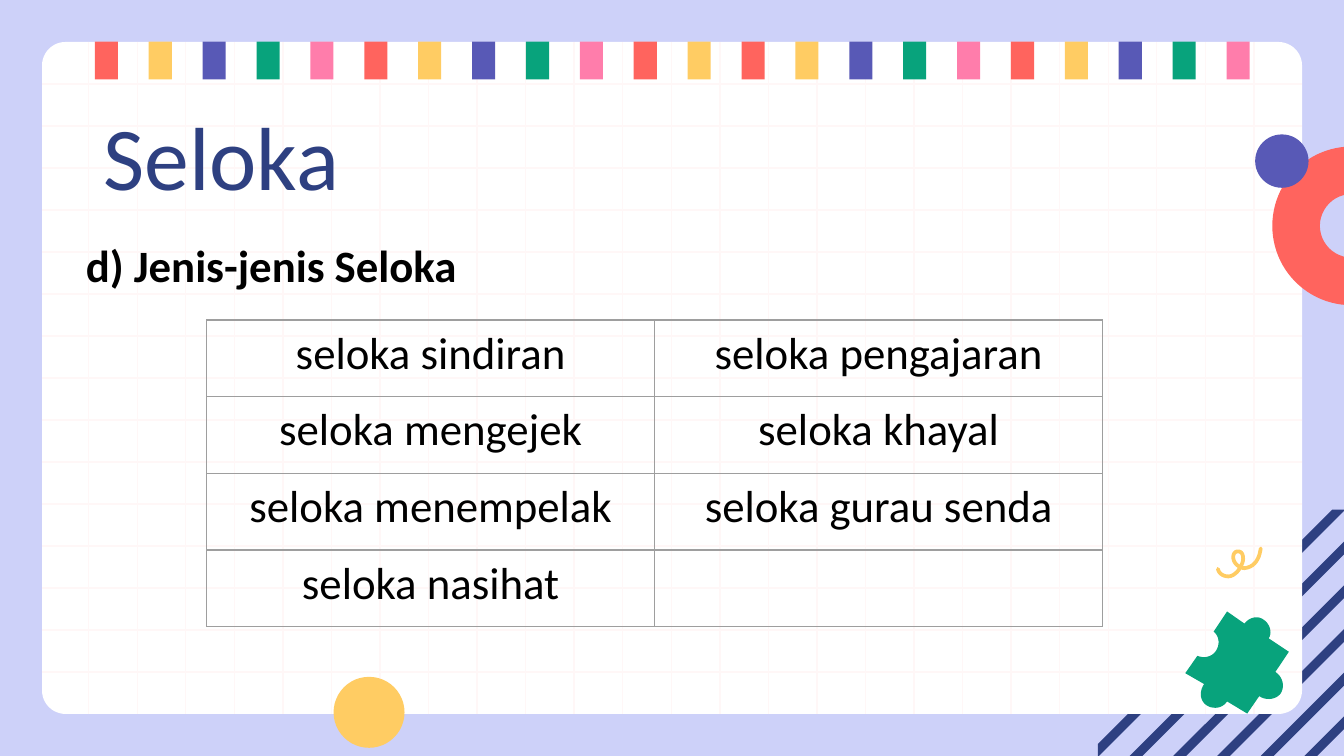
"""Build the slide on kinds of seloka."""
from lxml import etree
from pptx import Presentation
from pptx.dml.color import RGBColor
from pptx.enum.shapes import MSO_CONNECTOR, MSO_SHAPE
from pptx.enum.text import MSO_ANCHOR, PP_ALIGN
from pptx.oxml.ns import qn
from pptx.util import Pt

RECT, ROUND = MSO_SHAPE.RECTANGLE, MSO_SHAPE.ROUNDED_RECTANGLE
OVAL, ARC = MSO_SHAPE.OVAL, MSO_SHAPE.BLOCK_ARC
LINE = MSO_CONNECTOR.STRAIGHT
TOP, MID = MSO_ANCHOR.TOP, PP_ALIGN.CENTER

NAVY, WHITE, GRID = "2E4081", "FFFFFF", "FFF7F7"
RED, GOLD, BLUE, GREEN, PINK = "FF645E", "FFCC63", "5859B6", "08A37C", "FF7DAB"
CYCLE = [RED, GOLD, BLUE, GREEN, PINK]
KINDS = [
    ("seloka sindiran", "seloka pengajaran"),
    ("seloka mengejek", "seloka khayal"),
    ("seloka menempelak", "seloka gurau senda"),
    ("seloka nasihat", ""),
]
PUZZLE = [
    (676.8, 331.9), (673.9, 329.8, 669.6, 330.5, 666.7, 334.1),
    (657.4, 327.6), (650.2, 338.4),
    (653, 340.6, 653.8, 344.9, 651.6, 348.5),
    (649.4, 352.1, 645.1, 352.8, 641.5, 351.4),
    (635, 360.7), (645.1, 366.5),
    (642.2, 370.8, 643, 375.8, 646.6, 378),
    (650.2, 380.2, 655.2, 379.4, 657.4, 375.8),
    (668.2, 382.3), (674.6, 373),
    (679, 375.8, 684, 374.4, 686.2, 371.5),
    (688.3, 367.9, 687.6, 362.9, 683.3, 360),
    (690.5, 349.2), (679.7, 342),
    (681.8, 339.1, 680.4, 334.1, 676.8, 331.9),
]
CURL = [
    (652.5, 304.8), (653, 307.4, 655.5, 308.8, 658.1, 308.8),
    (662.4, 308.8, 666, 302.4, 666, 299.5),
    (666, 296.6, 665, 295.4, 663.1, 295.4),
    (661, 295.4, 660.2, 298, 661, 300.2),
    (661.7, 302.4, 664.4, 304.4, 666.7, 304.4),
    (672.5, 303.8, 674.8, 298.8, 675.4, 293.8),
]


def color(code):
    return RGBColor.from_string(code)


def trace(steps):
    dots = []
    for step in steps:
        if len(step) == 2:
            dots.append(step)
            continue
        ends = [dots[-1], step[:2], step[2:4], step[4:]]
        for t in (n / 10 for n in range(1, 11)):
            u = 1 - t
            parts = (u ** 3, 3 * u * u * t, 3 * u * t * t, t ** 3)
            dots.append(tuple(sum(k * e[i] for k, e in zip(parts, ends))
                              for i in (0, 1)))
    return dots


class Deck:
    def __init__(self, back, font="Calibri"):
        self.font = font
        self.show = Presentation()
        self.show.slide_width, self.show.slide_height = Pt(720), Pt(405)
        self.slide = self.show.slides.add_slide(self.show.slide_layouts[6])
        self.slide.background.fill.solid()
        self.slide.background.fill.fore_color.rgb = color(back)
        self.shapes = self.slide.shapes

    def paint(self, shape, fill):
        shape.shadow.inherit = False
        shape.fill.solid()
        shape.fill.fore_color.rgb = color(fill)
        shape.line.fill.background()

    def shape(self, kind, box, fill, *tweaks):
        shape = self.shapes.add_shape(kind, *map(Pt, box))
        for i, tweak in enumerate(tweaks):
            shape.adjustments[i] = tweak
        self.paint(shape, fill)

    def outline(self, dots, close=True):
        dots = [(Pt(x), Pt(y)) for x, y in dots]
        pen = self.shapes.build_freeform(*dots[0])
        pen.add_line_segments(dots[1:], close=close)
        return pen.convert_to_shape()

    def area(self, dots, fill):
        self.paint(self.outline(dots), fill)

    def stroke(self, dots, tint, width):
        shape = self.outline(dots, close=False)
        shape.shadow.inherit = False
        shape.fill.background()
        shape.line.color.rgb = color(tint)
        shape.line.width = Pt(width)
        shape.element.spPr.find(qn("a:ln")).set("cap", "rnd")

    def rule(self, *ends):
        line = self.shapes.add_connector(LINE, *map(Pt, ends))
        line.line.color.rgb = color(GRID)
        line.line.width = Pt(0.75)
        etree.SubElement(line.element.spPr, qn("a:effectLst"))

    def put(self, para, text, size, tint="000000", bold=False):
        run = para.add_run()
        run.text = text
        run.font.name, run.font.size, run.font.bold = self.font, Pt(size), bold
        run.font.color.rgb = color(tint)

    def text(self, box, text, size, space=1.0, **look):
        frame = self.shapes.add_textbox(*map(Pt, box)).text_frame
        frame.word_wrap = True
        frame.vertical_anchor = TOP
        frame.margin_left = frame.margin_right = Pt(7.2)
        frame.margin_top = frame.margin_bottom = Pt(7.2)
        para = frame.paragraphs[0]
        para.line_spacing = space
        self.put(para, text, size, **look)

    def border(self, cell, tint):
        props = cell._tc.get_or_add_tcPr()
        for side in ("a:lnL", "a:lnR", "a:lnT", "a:lnB"):
            line = etree.SubElement(props, qn(side), w=str(Pt(0.75)))
            fill = etree.SubElement(line, qn("a:solidFill"))
            etree.SubElement(fill, qn("a:srgbClr"), val=tint)

    def table(self, box, rows):
        size = len(rows), len(rows[0])
        table = self.shapes.add_table(*size, *map(Pt, box)).table
        table.first_row = table.horz_banding = False
        for r, row in enumerate(rows):
            for c, text in enumerate(row):
                cell = table.cell(r, c)
                self.border(cell, "9E9E9E")
                cell.fill.background()
                if text:
                    para = cell.text_frame.paragraphs[0]
                    para.alignment = MID
                    self.put(para, text, 24)


def main():
    deck = Deck("CDD1F9")
    for i in range(5):
        far = 21.2 + 23.4 * i
        near = far - 6.9
        deck.area([(720, 405 - far), (720 - far, 405),
                   (720 - near, 405), (720, 405 - near)], NAVY)
    deck.area([(713.8, 273), (588.2, 398.6), (588.2, 405),
               (588.7, 405), (720, 273.7), (720, 273)], NAVY)
    deck.area([(690.4, 273), (588.2, 375.2), (588.2, 382.1), (697.3, 273)], NAVY)

    deck.shape(ROUND, (22.5, 22.5, 675, 360), WHITE, 0.035)
    for i in range(15):
        y = 45 + 22.5 * i
        deck.rule(22.5, y, 697.5, y)
    for i in range(25):
        x = 47.5 + 26.01 * i
        deck.rule(x, 22.5, x, 382.5)
    for i, fill in enumerate(CYCLE * 2 + CYCLE[:2] + CYCLE * 2):
        deck.shape(RECT, (50.8 + 28.87 * i, 22.3, 12.4, 20.2), fill)

    deck.shape(ARC, (681.6, 78.5, 85, 85), RED, 54, 162, 0.3)
    deck.shape(OVAL, (178.7, 362.6, 38, 38), GOLD)
    deck.shape(OVAL, (672.4, 72, 28.6, 28.6), BLUE)
    deck.area(trace(PUZZLE), GREEN)
    deck.stroke(trace(CURL), GOLD, 2)

    deck.text((48.4, 46.8, 607, 45.4), "Seloka", 48, tint=NAVY)
    deck.text((38.9, 105.8, 655.2, 254.9), "d) Jenis-jenis Seloka", 24, 1.5, bold=True)
    deck.table((110.7, 171.4, 480, 164.4), KINDS)
    deck.show.save("out.pptx")


if __name__ == "__main__":
    main()
